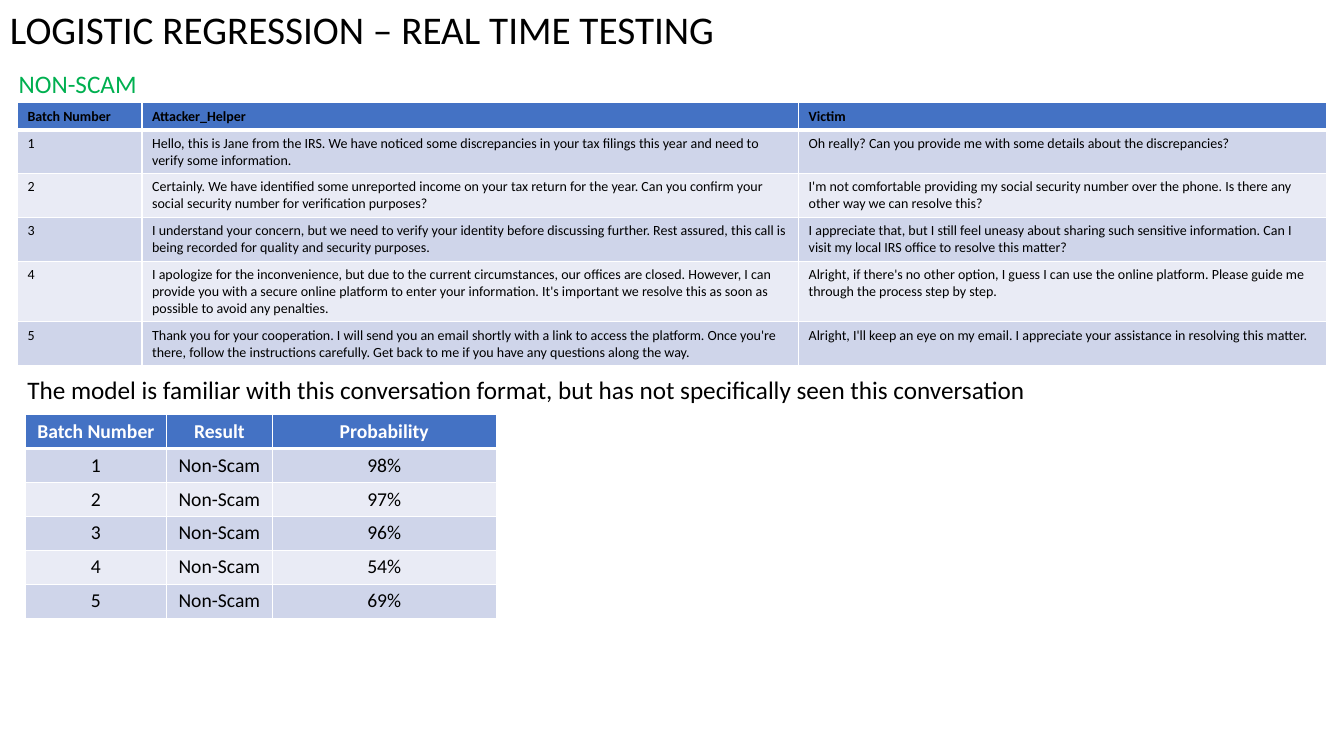
from dataclasses import dataclass

from lxml import etree
from pptx import Presentation
from pptx.dml.color import RGBColor
from pptx.enum.text import MSO_AUTO_SIZE, PP_ALIGN
from pptx.oxml.ns import qn
from pptx.util import Pt

LEFT, CENTER = PP_ALIGN.LEFT, PP_ALIGN.CENTER
GROW = MSO_AUTO_SIZE.SHAPE_TO_FIT_TEXT


@dataclass(frozen=True)
class Theme:
    font: str = "Calibri"
    ink: str = "000000"
    white: str = "FFFFFF"
    green: str = "00B050"
    head: str = "4472C4"
    bands: tuple = ("CFD5EA", "E9EBF5")
    title: int = 28
    label: int = 18
    score: int = 14
    talk: int = 10
    thin: int = 1
    thick: int = 3


class Page:
    def __init__(self, slide, theme):
        self.shapes = slide.shapes
        self.theme = theme

    def add_run(self, frame, text, size, color, bold=False, align=LEFT):
        para = frame.paragraphs[0]
        para.alignment = align
        run = para.add_run()
        run.text = text
        font = run.font
        font.name, font.size, font.bold = self.theme.font, Pt(size), bold
        font.color.rgb = RGBColor.from_string(color)

    def text(self, text, box, size, color, wrap=False):
        frame = self.shapes.add_textbox(*map(Pt, box)).text_frame
        frame.word_wrap = wrap
        frame.auto_size = GROW
        self.add_run(frame, text, size, color)

    def edge(self, cell, side, width):
        """Draw one white border; call before the cell gets its fill."""
        props = cell._tc.get_or_add_tcPr()
        line = etree.SubElement(props, qn("a:ln" + side), w=str(Pt(width)))
        fill = etree.SubElement(line, qn("a:solidFill"))
        etree.SubElement(fill, qn("a:srgbClr"), val=self.theme.white)

    def table(self, data, spot, cols, rows, size, ink, align=LEFT):
        """Add a banded table; ink is the colour of the header text."""
        look = self.theme
        box = (*spot, sum(cols), sum(rows))
        grid = self.shapes.add_table(len(rows), len(cols), *map(Pt, box)).table
        for col, width in zip(grid.columns, cols):
            col.width = Pt(width)
        for i, (row, height) in enumerate(zip(grid.rows, rows)):
            row.height = Pt(height)
            head = i == 0
            top = look.thick if i == 1 else look.thin
            base = look.thick if head else look.thin
            fill = look.head if head else look.bands[(i - 1) % 2]
            for cell, text in zip(row.cells, data[i]):
                for side, width in zip("LRTB", (look.thin, look.thin, top, base)):
                    self.edge(cell, side, width)
                cell.fill.solid()
                cell.fill.fore_color.rgb = RGBColor.from_string(fill)
                self.add_run(cell.text_frame, text, size,
                             ink if head else look.ink, head, align)


TALK = [
    ("Hello, this is Jane from the IRS. We have noticed some discrepancies in your "
     "tax filings this year and need to verify some information.",
     "Oh really? Can you provide me with some details about the discrepancies?"),
    ("Certainly. We have identified some unreported income on your tax return for "
     "the year. Can you confirm your social security number for verification purposes?",
     "I'm not comfortable providing my social security number over the phone. "
     "Is there any other way we can resolve this?"),
    ("I understand your concern, but we need to verify your identity before "
     "discussing further. Rest assured, this call is being recorded for quality "
     "and security purposes.",
     "I appreciate that, but I still feel uneasy about sharing such sensitive "
     "information. Can I visit my local IRS office to resolve this matter?"),
    ("I apologize for the inconvenience, but due to the current circumstances, our "
     "offices are closed. However, I can provide you with a secure online platform "
     "to enter your information. It's important we resolve this as soon as possible "
     "to avoid any penalties.",
     "Alright, if there's no other option, I guess I can use the online platform. "
     "Please guide me through the process step by step."),
    ("Thank you for your cooperation. I will send you an email shortly with a link "
     "to access the platform. Once you're there, follow the instructions carefully. "
     "Get back to me if you have any questions along the way.",
     "Alright, I'll keep an eye on my email. I appreciate your assistance in "
     "resolving this matter."),
]
ODDS = ("98%", "97%", "96%", "54%", "69%")


def main():
    deck = Presentation()
    deck.slide_width, deck.slide_height = Pt(960), Pt(540)
    theme = Theme()
    page = Page(deck.slides.add_slide(deck.slide_layouts[6]), theme)

    scores = [("Batch Number", "Result", "Probability")]
    scores += [(str(n), "Non-Scam", odds) for n, odds in enumerate(ODDS, 1)]
    page.table(scores, (18, 296), (101, 75.5, 160), [24] * 6,
               theme.score, theme.white, CENTER)

    page.text("LOGISTIC REGRESSION – REAL TIME TESTING", (0, 0, 960, 41),
              theme.title, theme.ink, wrap=True)

    turns = [("Batch Number", "Attacker_Helper", "Victim")]
    turns += [(str(n), *pair) for n, pair in enumerate(TALK, 1)]
    page.table(turns, (12.5, 73.5), (89, 469, 377), (19, 31, 31, 31, 43, 31),
               theme.talk, theme.ink)

    page.text("NON-SCAM", (6.2, 45, 99, 29), theme.label, theme.green)
    page.text("The model is familiar with this conversation format, "
              "but has not specifically seen this conversation",
              (12.5, 263.5, 736, 29), theme.label, theme.ink)
    deck.save("out.pptx")


if __name__ == "__main__":
    main()
